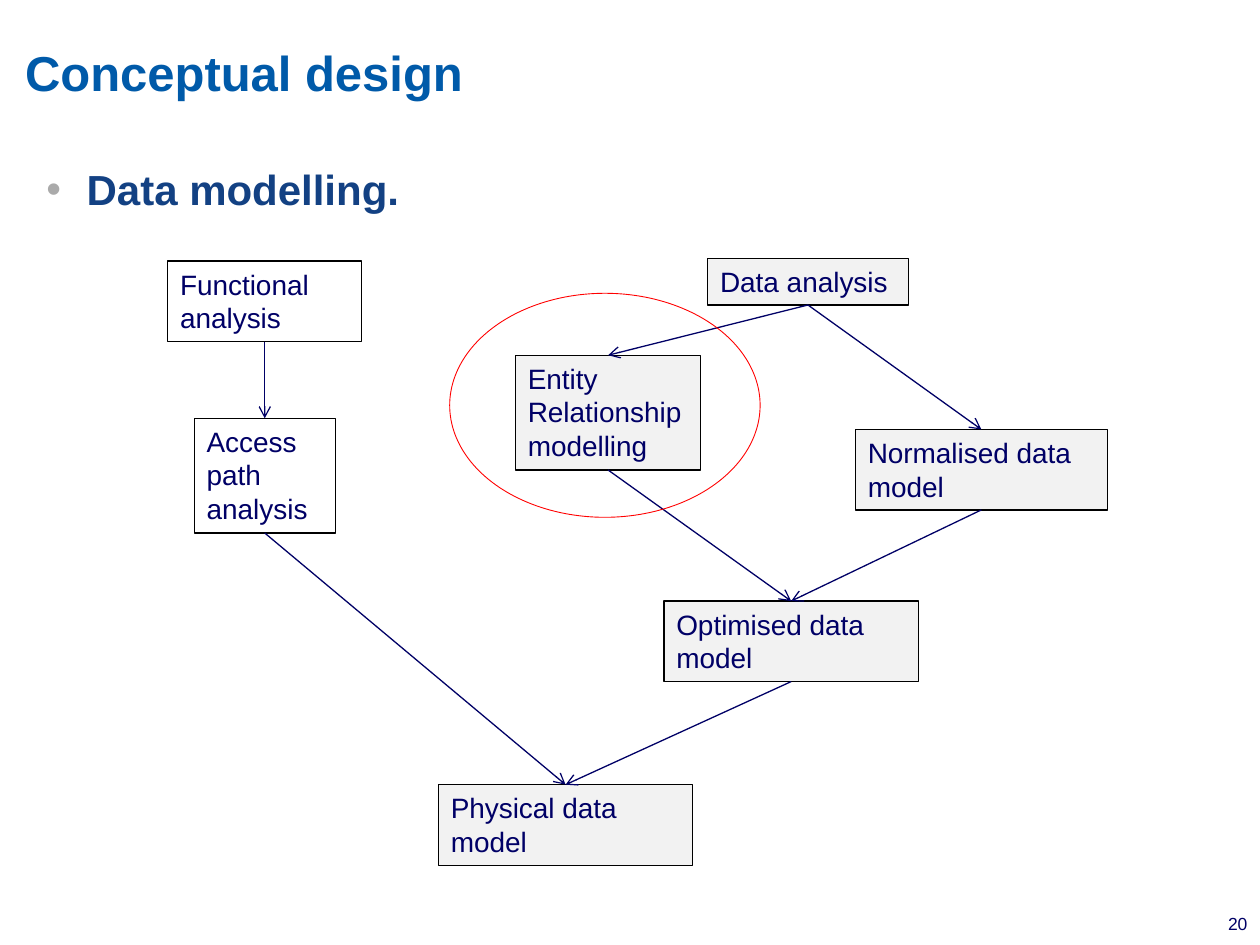
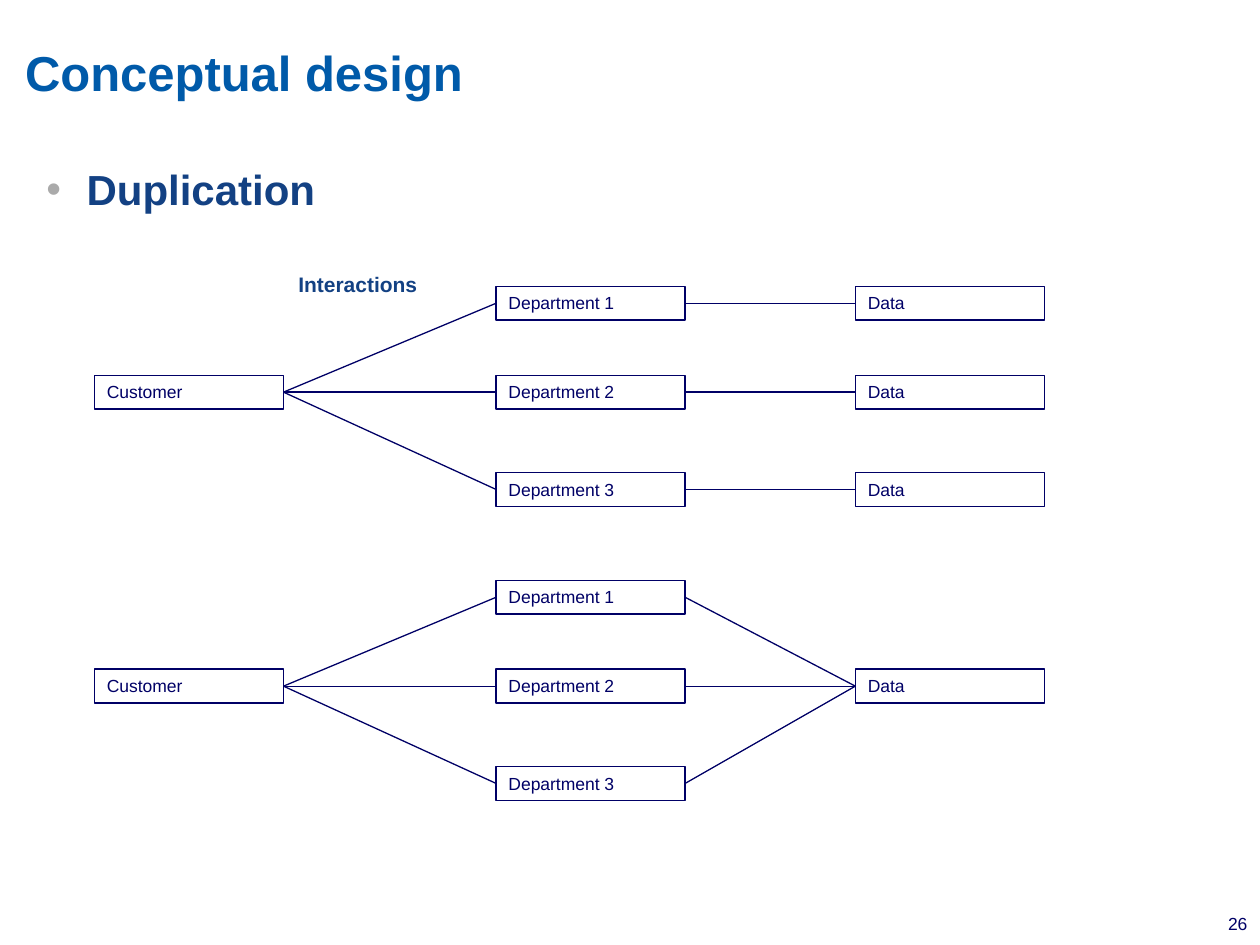
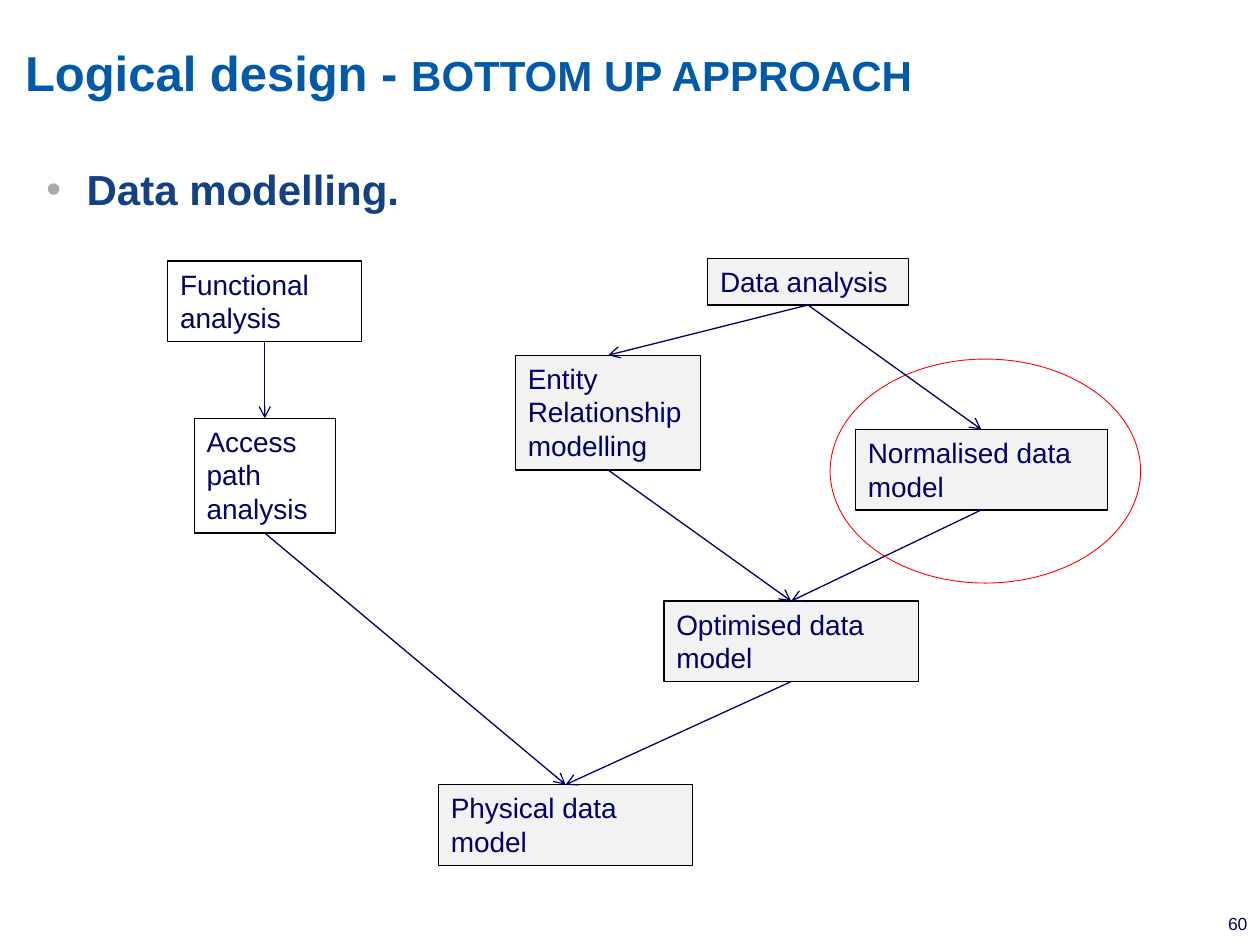
"""Build three slides on conceptual and logical database design."""
from dataclasses import dataclass

from lxml import etree
from pptx import Presentation
from pptx.dml.color import RGBColor
from pptx.enum.shapes import MSO_CONNECTOR, MSO_SHAPE
from pptx.enum.text import MSO_ANCHOR, MSO_AUTO_SIZE, PP_ALIGN
from pptx.oxml.ns import qn
from pptx.util import Pt

RECT, OVAL = MSO_SHAPE.RECTANGLE, MSO_SHAPE.OVAL
STRAIGHT = MSO_CONNECTOR.STRAIGHT
TOP, MIDDLE = MSO_ANCHOR.TOP, MSO_ANCHOR.MIDDLE
LEFT, RIGHT = PP_ALIGN.LEFT, PP_ALIGN.RIGHT
GROW = MSO_AUTO_SIZE.SHAPE_TO_FIT_TEXT
UP_SITE, LEFT_SITE, DOWN_SITE, RIGHT_SITE = range(4)

FONT = "Arial"
COLORS = {
    "title": "005AA9",
    "body": "134183",
    "ink": "000066",
    "bullet": "AAAAAA",
    "edge": "000000",
    "gray": "F2F2F2",
    "white": "FFFFFF",
    "ring": "FF0000",
}


@dataclass
class Box:
    text: str
    left: float
    top: float
    width: float
    height: float
    fill: str = ""
    edge: str = "edge"
    size: float = 16


@dataclass
class Link:
    start: str
    end: str


MODEL = {
    "entity": Box("Entity Relationship modelling", 294.5, 203, 106, 65.6, "gray"),
    "normal": Box("Normalised data model", 488.8, 245.4, 144, 46, "gray"),
    "optimal": Box("Optimised data model", 379.4, 343.5, 145.4, 46, "gray"),
    "data": Box("Data analysis", 404.4, 147.7, 114.6, 26.6, "gray"),
    "function": Box("Functional analysis", 95.8, 149.2, 111, 46),
    "access": Box("Access path analysis", 111, 239, 80.6, 65.6, "white"),
    "physical": Box("Physical data model", 250.5, 448.4, 145.4, 46, "gray"),
}
FLOW = [
    Link("function", "access"),
    Link("data", "entity"),
    Link("data", "normal"),
    Link("normal", "optimal"),
    Link("entity", "optimal"),
    Link("optimal", "physical"),
    Link("access", "physical"),
]
ROWS = (163.6, 214.4, 270)
CENTER = ROWS[1]
SHIFT = 168
CLIENT_X, DEPT_X, DATA_X = 54, 283.5, 488.8


def color(name: str) -> RGBColor:
    return RGBColor.from_string(COLORS[name])


def write(para, text: str, *, size: float, ink: str = "ink",
          bold: bool = False, align=LEFT) -> None:
    para.alignment = align
    run = para.add_run()
    run.text = text
    font = run.font
    font.name, font.size, font.bold = FONT, Pt(size), bold
    font.color.rgb = color(ink)


def add_frame(slide, left: float, top: float, width: float, height: float,
              inset=(7.2, 3.6, 7.2, 3.6), anchor=TOP):
    area = slide.shapes.add_textbox(Pt(left), Pt(top), Pt(width), Pt(height))
    frame = area.text_frame
    frame.word_wrap = True
    frame.vertical_anchor = anchor
    (frame.margin_left, frame.margin_top,
     frame.margin_right, frame.margin_bottom) = map(Pt, inset)
    return frame


def add_bullet(para) -> None:
    para.line_spacing = 1.2
    props = para._p.get_or_add_pPr()
    props.set("marL", str(Pt(23)))
    props.set("indent", str(Pt(-23)))
    space = etree.SubElement(props, qn("a:spcBef"))
    etree.SubElement(space, qn("a:spcPct"), val="60000")
    tint = etree.SubElement(props, qn("a:buClr"))
    etree.SubElement(tint, qn("a:srgbClr"), val=COLORS["bullet"])
    etree.SubElement(props, qn("a:buFont"), typeface=FONT)
    etree.SubElement(props, qn("a:buChar"), char="•")


def add_page(deck, number: int, title: str, topic: str, suffix: str = ""):
    slide = deck.slides.add_slide(deck.slide_layouts[6])
    foot = add_frame(slide, 460.8, 518.4, 252, 12.2, (0, 3.6, 0, 3.6))
    write(foot.paragraphs[0], str(number), size=10, align=RIGHT)
    head = add_frame(slide, 0, 0, 720, 77.8, (14.4, 14.4, 141.8, 10), MIDDLE)
    write(head.paragraphs[0], title, size=28, ink="title", bold=True)
    if suffix:
        write(head.paragraphs[0], suffix, size=24, ink="title", bold=True)
    body = add_frame(slide, 19.4, 84.2, 685.4, 438.5)
    write(body.paragraphs[0], topic, size=24, ink="body", bold=True)
    add_bullet(body.paragraphs[0])
    return slide, body


def add_shape(slide, kind, left: float, top: float, width: float,
              height: float, edge: str, weight: float, fill: str = ""):
    shape = slide.shapes.add_shape(kind, Pt(left), Pt(top), Pt(width), Pt(height))
    shape.shadow.inherit = False
    if fill:
        shape.fill.solid()
        shape.fill.fore_color.rgb = color(fill)
    else:
        shape.fill.background()
    shape.line.color.rgb = color(edge)
    shape.line.width = Pt(weight)
    return shape


def add_box(slide, box: Box):
    shape = add_shape(slide, RECT, box.left, box.top, box.width, box.height,
                      box.edge, 0.75, box.fill)
    frame = shape.text_frame
    frame.word_wrap = True
    frame.vertical_anchor = TOP
    frame.auto_size = GROW
    write(frame.paragraphs[0], box.text, size=box.size)
    return shape


def add_link(slide, start, end, sites: tuple[int, int], arrow: bool = False) -> None:
    line = slide.shapes.add_connector(STRAIGHT, Pt(0), Pt(0), Pt(0), Pt(0))
    line.begin_connect(start, sites[0])
    line.end_connect(end, sites[1])
    line.line.color.rgb = color("ink")
    line.line.width = Pt(0.75)
    if arrow:
        etree.SubElement(line.line._get_or_add_ln(), qn("a:tailEnd"), type="arrow")
    etree.SubElement(line._element.spPr, qn("a:effectLst"))


def draw_model(slide, left: float, top: float) -> None:
    shapes = {key: add_box(slide, box) for key, box in MODEL.items()}
    for link in FLOW:
        add_link(slide, shapes[link.start], shapes[link.end],
                 (DOWN_SITE, UP_SITE), arrow=True)
    add_shape(slide, OVAL, left, top, 177.4, 128, "ring", 0.5)


def draw_net(slide, shift: float, shared: bool) -> None:
    def place(text: str, left: float, top: float):
        return add_box(slide, Box(text, left, top + shift, 108, 19.4,
                                  edge="ink", size=10))

    client = place("Customer", CLIENT_X, CENTER)
    depts = [place(f"Department {i}", DEPT_X, top) for i, top in enumerate(ROWS, 1)]
    stores = [place("Data", DATA_X, top) for top in ([CENTER] if shared else ROWS)]
    if shared:
        stores *= len(depts)
    for dept, store in zip(depts, stores):
        add_link(slide, client, dept, (RIGHT_SITE, LEFT_SITE))
        add_link(slide, dept, store, (RIGHT_SITE, LEFT_SITE))


def main() -> None:
    deck = Presentation()
    deck.slide_width, deck.slide_height = Pt(720), Pt(540)

    slide, _ = add_page(deck, 20, "Conceptual design", "Data modelling.")
    draw_model(slide, 257, 167.6)

    slide, body = add_page(deck, 26, "Conceptual design", "Duplication")
    label = body.add_paragraph()
    write(label, "Interactions", size=12, ink="body", bold=True)
    label.line_spacing = 1.2
    label.space_before = Pt(30)
    label._p.get_or_add_pPr().set("marL", str(Pt(144)))
    draw_net(slide, 0, shared=False)
    draw_net(slide, SHIFT, shared=True)

    slide, _ = add_page(deck, 60, "Logical design - ", "Data modelling.",
                        "BOTTOM UP APPROACH")
    draw_model(slide, 474.4, 205.2)

    deck.save("out.pptx")


if __name__ == "__main__":
    main()
